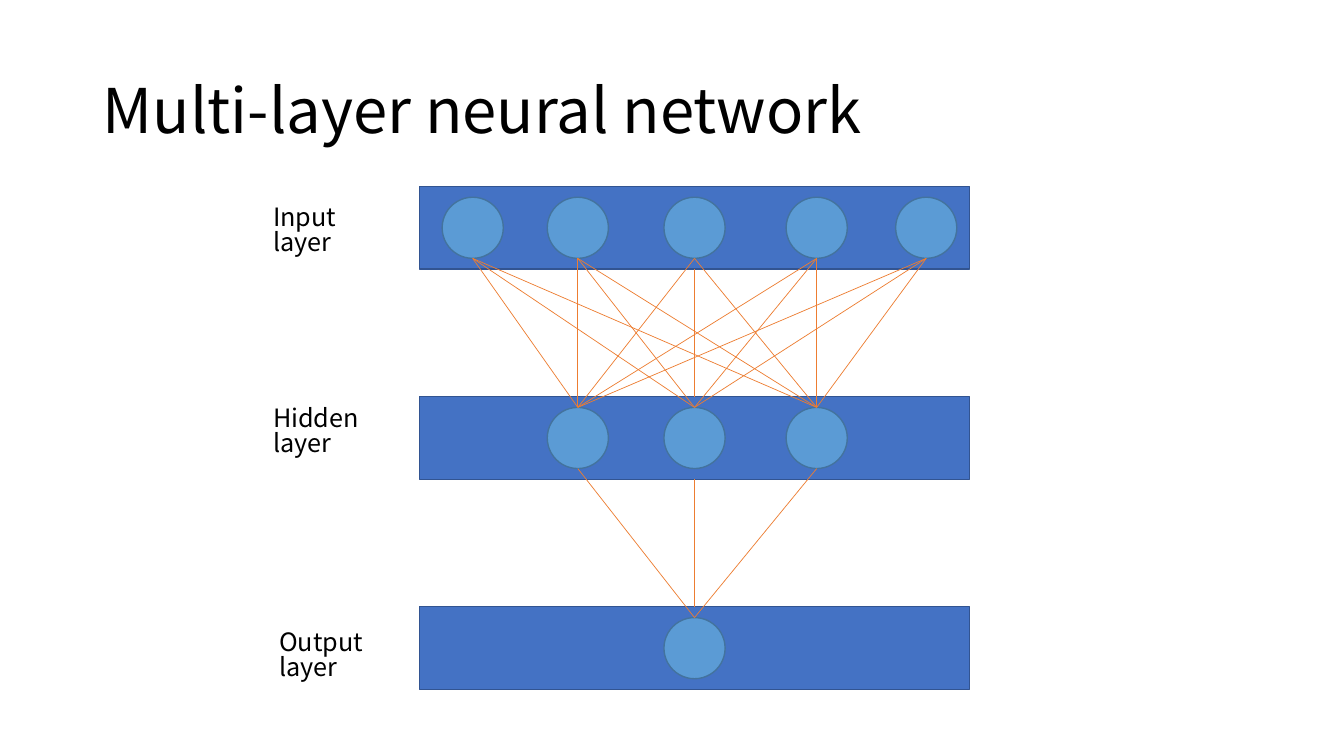
from dataclasses import dataclass
from itertools import product

from pptx import Presentation
from pptx.dml.color import RGBColor as Rgb
from pptx.enum.shapes import MSO_CONNECTOR as Connector, MSO_SHAPE as Preset
from pptx.enum.text import MSO_ANCHOR as Anchor, MSO_AUTO_SIZE as AutoSize, PP_ALIGN as Align
from pptx.oxml.ns import qn
from pptx.util import Inches, Pt


@dataclass(frozen=True)
class Theme:
    font: str = "Noto Sans CJK KR"
    ink: str = "000000"
    band: str = "4472C4"
    band_edge: str = "325491"
    neuron: str = "5B9BD5"
    neuron_edge: str = "43739E"
    link: str = "ED7D31"
    title_size: float = 44
    label_size: float = 18
    outline: float = 1
    link_width: float = 0.5


@dataclass(frozen=True)
class Box:
    left: float
    top: float
    width: float
    height: float

    @property
    def bottom(self):
        return self.top + self.height

    def share(self, left, top, width, height):
        return Box(self.left + self.width * left / 100, self.top + self.height * top / 100,
                   self.width * width / 100, self.height * height / 100)

    def emu(self):
        return [Inches(n) for n in (self.left, self.top, self.width, self.height)]


THEME = Theme()
PAGE = Box(0, 0, 13.33, 7.5)
NEURON_COLUMNS = (9.7, 28.8, 50, 72.2, 92.1)
NEURON_SHARE = 0.74
LAYERS = (
    ("Input layer", (19.58, 26.67, 9.6, 5.33), NEURON_COLUMNS),
    ("Hidden layer", (19.58, 53.33, 11.4, 5.33), NEURON_COLUMNS[1:4]),
    ("Output layer", (20.03, 82.93, 11.1, 5.33), NEURON_COLUMNS[2:3]),
)
BAND_TOP, BAND_PITCH = 24.67, 27.8


def write(frame, wording, size, spacing):
    frame.word_wrap = True
    frame.auto_size = AutoSize.NONE
    paragraph = frame.paragraphs[0]
    paragraph.alignment = Align.LEFT
    paragraph.line_spacing = spacing
    run = paragraph.add_run()
    run.text = wording
    run.font.name = THEME.font
    run.font.size = Pt(size)
    run.font.color.rgb = Rgb.from_string(THEME.ink)


def add_filled(slide, preset, box, fill, edge):
    figure = slide.shapes.add_shape(preset, *box.emu())
    figure.shadow.inherit = False
    figure.fill.solid()
    figure.fill.fore_color.rgb = Rgb.from_string(fill)
    figure.line.color.rgb = Rgb.from_string(edge)
    figure.line.width = Pt(THEME.outline)


def add_link(slide, start, end):
    link = slide.shapes.add_connector(Connector.STRAIGHT, *[Inches(n) for n in (*start, *end)])
    link.line.color.rgb = Rgb.from_string(THEME.link)
    link.line.width = Pt(THEME.link_width)
    properties = link._element.spPr
    properties.append(properties.makeelement(qn("a:effectLst"), {}))


def add_heading(slide, box, wording):
    heading = slide.shapes.title
    heading.left, heading.top, heading.width, heading.height = box.emu()
    heading.text_frame.vertical_anchor = Anchor.MIDDLE
    write(heading.text_frame, wording, THEME.title_size, 0.9)


def add_layer(slide, band, columns):
    add_filled(slide, Preset.RECTANGLE, band, THEME.band, THEME.band_edge)
    size = band.height * NEURON_SHARE
    neurons = []
    for column in columns:
        center = band.left + band.width * column / 100
        neuron = Box(center - size / 2, band.top + (band.height - size) / 2, size, size)
        add_filled(slide, Preset.OVAL, neuron, THEME.neuron, THEME.neuron_edge)
        neurons.append(neuron)
    return neurons


def link_layers(slide, upper_band, lower_band, upper, lower):
    middle = upper_band.left + upper_band.width / 2
    for source, target in product(upper, lower):
        start_x, end_x = (n.left + n.width / 2 for n in (source, target))
        central = max(abs(start_x - middle), abs(end_x - middle)) < 0.01
        start_y = upper_band.bottom if central else source.bottom
        end_y = lower_band.top if central else target.top
        add_link(slide, (start_x, start_y), (end_x, end_y))


def add_label(slide, box, wording):
    label = slide.shapes.add_textbox(*box.emu())
    write(label.text_frame, wording, THEME.label_size, 0.82)


def add_network(slide, box):
    bands = [box.share(31.2, BAND_TOP + BAND_PITCH * row, 40.95, 10.93)
             for row in range(len(LAYERS))]
    neurons = [add_layer(slide, band, columns)
               for band, (_, _, columns) in zip(bands, LAYERS)]
    for pair in zip(bands, bands[1:], neurons, neurons[1:]):
        link_layers(slide, *pair)
    for wording, place, _ in LAYERS:
        add_label(slide, box.share(*place), wording)


deck = Presentation()
deck.slide_width, deck.slide_height = Inches(PAGE.width), Inches(PAGE.height)
network_slide = deck.slides.add_slide(deck.slide_layouts[5])
add_heading(network_slide, PAGE.share(6.9, 5.33, 86.25, 19.33), "Multi-layer neural network")
add_network(network_slide, PAGE)
deck.save("out.pptx")
